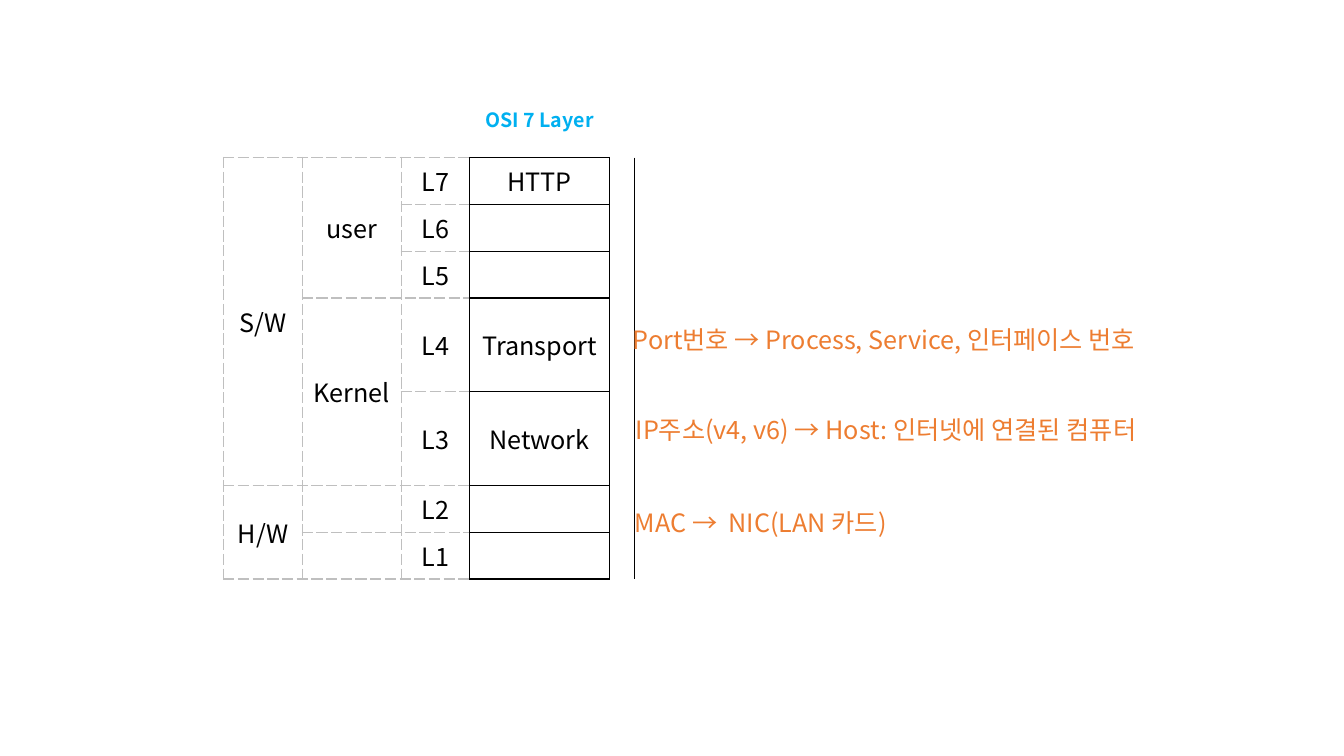
"""Build a slide that maps the OSI layers to software, hardware and identifiers."""
from dataclasses import dataclass

import lxml.etree
import pptx
import pptx.dml.color
import pptx.enum.dml
import pptx.enum.text
import pptx.oxml.ns
import pptx.util

Cm = pptx.util.Cm
Pt = pptx.util.Pt
RGB = pptx.dml.color.RGBColor
qn = pptx.oxml.ns.qn


@dataclass(frozen=True)
class Theme:
    font: str = "Noto Sans CJK KR"
    ink: str = "000000"
    guide: str = "BFBFBF"
    heading: str = "00B0F0"
    accent: str = "ED7D31"
    heading_size: int = 14
    body_size: int = 18
    plain_table: str = "{2D5ABB26-0587-4C30-8999-92F81FD0307C}"


@dataclass(frozen=True)
class Block:
    row: int
    column: int
    label: str = ""
    rows: int = 1


@dataclass(frozen=True)
class Note:
    text: str
    left: float
    top: float
    width: float


THEME = Theme()
COLUMN_WIDTHS = (1.98, 2.49, 1.73, 3.51, 0.63, 3.94, 3.02, 3.45)
HEADER_HEIGHT, LAYER_HEIGHT = 1.96, 1.18
LAYER_ROWS = 9
LEVEL_COLUMN, PROTOCOL_COLUMN = 2, 3

BLOCKS = (
    Block(1, 0, "S/W", 7), Block(8, 0, "H/W", 2),
    Block(1, 1, "user", 3), Block(4, 1, "Kernel", 4),
    Block(1, 2, "L7"), Block(2, 2, "L6"), Block(3, 2, "L5"),
    Block(4, 2, "L4", 2), Block(6, 2, "L3", 2), Block(8, 2, "L2"), Block(9, 2, "L1"),
    Block(1, 3, "HTTP"), Block(4, 3, "Transport", 2), Block(6, 3, "Network", 2),
    Block(1, 5, rows=3), Block(4, 5, rows=2), Block(6, 5, rows=2), Block(8, 5, rows=2),
    Block(1, 7, rows=2), Block(6, 7, rows=2), Block(8, 7, rows=2),
)
NOTES = (
    Note("Port번호 → Process, Service, 인터페이스 번호", 15.7, 8.05, 13.72),
    Note("IP주소(v4, v6) → Host: 인터넷에 연결된 컴퓨터", 15.77, 10.31, 14.27),
    Note("MAC →  NIC(LAN 카드)", 15.75, 12.65, 7.42),
)


def write(frame, text: str, size: int, color: str, bold: bool = False) -> None:
    run = frame.paragraphs[0].add_run()
    run.text = text
    for name, value in {"name": THEME.font, "size": Pt(size), "bold": bold}.items():
        setattr(run.font, name, value)
    run.font.color.rgb = RGB.from_string(color)
    east_asian = lxml.etree.SubElement(run.font._element, qn("a:ea"))
    east_asian.set("typeface", THEME.font)


def label_cell(cell, text: str, size: int, color: str, bold: bool = False) -> None:
    cell.vertical_anchor = pptx.enum.text.MSO_ANCHOR.MIDDLE
    cell.text_frame.paragraphs[0].alignment = pptx.enum.text.PP_ALIGN.CENTER
    write(cell.text_frame, text, size, color, bold)


def sides_of(row: int, column: int, spanned: bool) -> dict[str, str]:
    """Return the border colour of each drawn side of a cell."""
    if column > PROTOCOL_COLUMN:
        return {"L": THEME.ink} if row and column == PROTOCOL_COLUMN + 1 else {}
    color = THEME.ink if column == PROTOCOL_COLUMN else THEME.guide
    if row == 0:
        return {"B": color}
    sides = dict.fromkeys("LR" if spanned else "LRTB", color)
    if row == LAYER_ROWS:
        sides["B"] = color
    if column == LEVEL_COLUMN:
        sides["R"] = THEME.ink
    return sides


def draw_borders(cell, sides: dict[str, str]) -> None:
    properties = cell._tc.get_or_add_tcPr()
    for side, color in sides.items():
        line = lxml.etree.SubElement(properties, qn(f"a:ln{side}"), w=str(Pt(1)))
        fill = lxml.etree.SubElement(line, qn("a:solidFill"))
        lxml.etree.SubElement(fill, qn("a:srgbClr"), val=color)
        dash = "dash" if color == THEME.guide else "solid"
        lxml.etree.SubElement(line, qn("a:prstDash"), val=dash)
    cell.fill.background()


def add_layers(slide) -> None:
    row_heights = (HEADER_HEIGHT, *[LAYER_HEIGHT] * LAYER_ROWS)
    layers = slide.shapes.add_table(
        len(row_heights), len(COLUMN_WIDTHS), Cm(5.64), Cm(2.01),
        Cm(sum(COLUMN_WIDTHS)), Cm(sum(row_heights)),
    ).table
    for name, value in {"first_row": False, "horz_banding": False}.items():
        setattr(layers, name, value)
    layers._tbl.tblPr.find(qn("a:tableStyleId")).text = THEME.plain_table
    for column, width in zip(layers.columns, COLUMN_WIDTHS):
        column.width = Cm(width)
    for row, height in zip(layers.rows, row_heights):
        row.height = Cm(height)

    label_cell(layers.cell(0, PROTOCOL_COLUMN), "OSI 7 Layer",
               THEME.heading_size, THEME.heading, True)
    for block in BLOCKS:
        cell = layers.cell(block.row, block.column)
        if block.rows > 1:
            cell.merge(layers.cell(block.row + block.rows - 1, block.column))
        if block.label:
            label_cell(cell, block.label, THEME.body_size, THEME.ink)
    for row in range(len(row_heights)):
        for column in range(len(COLUMN_WIDTHS)):
            cell = layers.cell(row, column)
            draw_borders(cell, sides_of(row, column, cell.is_spanned))


def add_note(slide, note: Note) -> None:
    frame = slide.shapes.add_textbox(
        Cm(note.left), Cm(note.top), Cm(note.width), Cm(1.02)).text_frame
    settings = {
        "word_wrap": False,
        "auto_size": pptx.enum.text.MSO_AUTO_SIZE.SHAPE_TO_FIT_TEXT,
    }
    for name, value in settings.items():
        setattr(frame, name, value)
    write(frame, note.text, THEME.body_size, THEME.accent)


def main() -> None:
    deck = pptx.Presentation()
    for name, value in {"slide_width": Cm(33.87), "slide_height": Cm(19.05)}.items():
        setattr(deck, name, value)
    slide = deck.slides.add_slide(deck.slide_layouts[6])
    add_layers(slide)
    for note in NOTES:
        add_note(slide, note)
    deck.save("out.pptx")


main()
